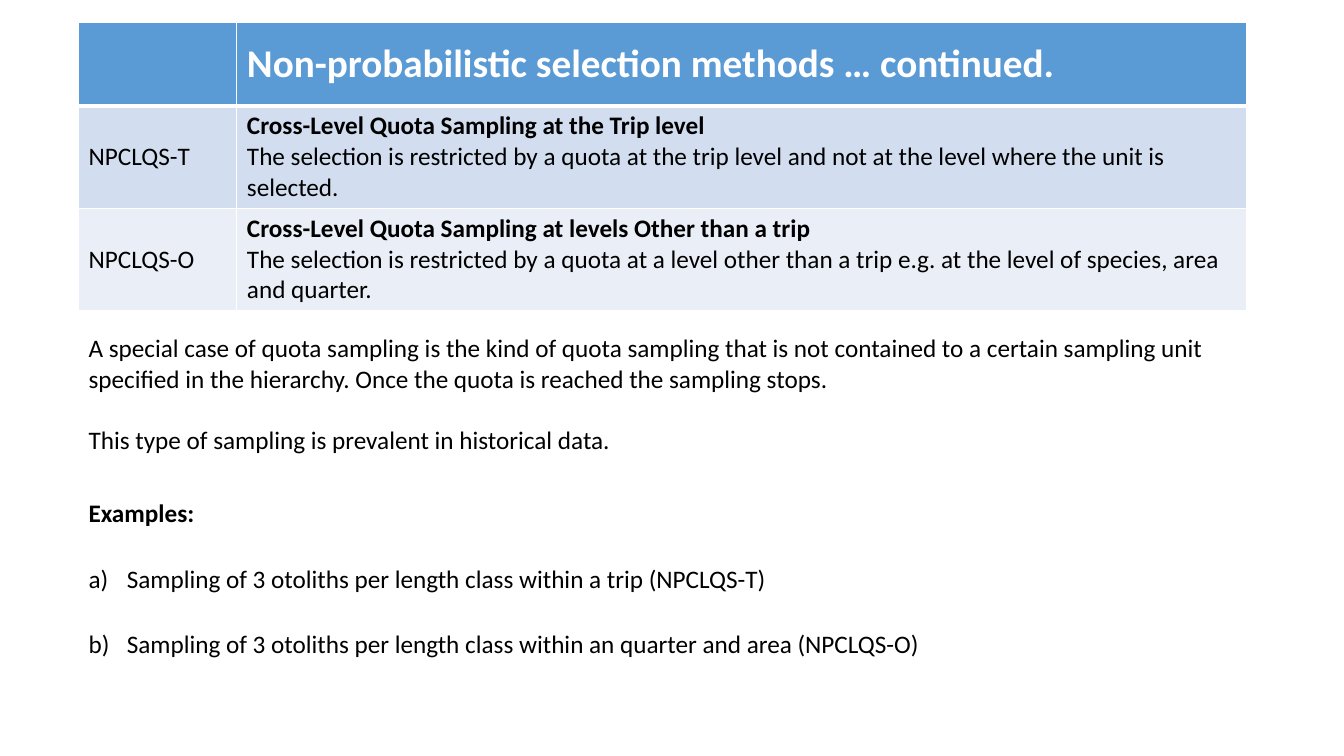
from lxml.etree import SubElement
from pptx import Presentation
from pptx.dml.color import RGBColor
from pptx.enum.text import MSO_ANCHOR
from pptx.oxml.ns import qn
from pptx.util import Inches, Pt

HUES = {"head": "5B9BD5", "odd": "D2DEEF", "even": "EAEFF7",
        "white": "FFFFFF", "black": "000000"}
LEFT, WIDE = 0.78, 11.58
TITLE = "Non-probabilistic selection methods … continued."
METHODS = [
    ("NPCLQS-T", "Cross-Level Quota Sampling at the Trip level",
     "The selection is restricted by a quota at the trip level and not at "
     "the level where the unit is selected."),
    ("NPCLQS-O", "Cross-Level Quota Sampling at levels Other than a trip",
     "The selection is restricted by a quota at a level other than a trip "
     "e.g. at the level of species, area and quarter."),
]
NOTES = [
    "A special case of quota sampling is the kind of quota sampling that is "
    "not contained to a certain sampling unit specified in the hierarchy. "
    "Once the quota is reached the sampling stops.",
    "This type of sampling is prevalent in historical data.",
]
CASES = [
    "Sampling of 3 otoliths per length class within a trip (NPCLQS-T)",
    "Sampling of 3 otoliths per length class within an quarter and area "
    "(NPCLQS-O)",
]


def color(name):
    return RGBColor.from_string(HUES[name])


def style(item, **form):
    for key, value in form.items():
        setattr(item, key, value)


def write(frame, lines, size=18, hue="black", **form):
    """Fill a text frame with (text, bold) lines, one paragraph each."""
    for i, (text, bold) in enumerate(lines):
        para = frame.paragraphs[0] if i == 0 else frame.add_paragraph()
        style(para, **form)
        run = para.add_run()
        run.text = text
        style(run.font, name="Calibri", size=Pt(size), bold=bold)
        run.font.color.rgb = color(hue)


def border(cell, base):
    """Draw white cell edges, with the bottom one of the given weight."""
    props = cell._tc.get_or_add_tcPr()
    edges = {"lnL": 1, "lnR": 1, "lnT": 1, "lnB": base}
    for i, (tag, width) in enumerate(edges.items()):
        line = props.makeelement(qn("a:" + tag), {"w": str(Pt(width))})
        fill = SubElement(line, qn("a:solidFill"))
        SubElement(fill, qn("a:srgbClr"), val=HUES["white"])
        props.insert(i, line)


def paint(cell, hue, base=1):
    cell.vertical_anchor = MSO_ANCHOR.MIDDLE
    cell.fill.solid()
    cell.fill.fore_color.rgb = color(hue)
    border(cell, base)


def add_grid(slide):
    rows, cols = [0.83, 1.0, 1.0], [1.57, 10.01]
    grid = slide.shapes.add_table(
        len(rows), len(cols), Inches(LEFT), Inches(0.22),
        Inches(WIDE), Inches(sum(rows))).table
    for row, high in zip(grid.rows, rows):
        row.height = Inches(high)
    for col, wide in zip(grid.columns, cols):
        col.width = Inches(wide)

    # Header row
    for cell in grid.rows[0].cells:
        paint(cell, "head", 3)
    write(grid.cell(0, 1).text_frame, [(TITLE, True)], 28, "white")

    # One row per method
    for i, (code, name, text) in enumerate(METHODS, 1):
        for cell in grid.rows[i].cells:
            paint(cell, "odd" if i % 2 else "even")
        write(grid.cell(i, 0).text_frame, [(code, False)])
        write(grid.cell(i, 1).text_frame, [(name, True), (text, False)])


def add_text(slide, top, wide, high, lines, **form):
    box = slide.shapes.add_textbox(
        Inches(LEFT), Inches(top), Inches(wide), Inches(high))
    box.text_frame.word_wrap = True
    write(box.text_frame, lines, **form)
    return box.text_frame


def letter(para):
    """Number a paragraph a), b), ... with a hanging indent."""
    props = para._p.get_or_add_pPr()
    hang = Inches(0.38)
    props.set("marL", str(hang))
    props.set("indent", str(-hang))
    SubElement(props, qn("a:buFont"), typeface="+mj-lt")
    SubElement(props, qn("a:buAutoNum"), type="alphaLcParenR")


def main():
    deck = Presentation()
    style(deck, slide_width=Inches(13.33), slide_height=Inches(7.5))
    slide = deck.slides.add_slide(deck.slide_layouts[6])

    # Methods table
    add_grid(slide)

    # Explanation, with one line of space between the paragraphs
    notes = add_text(slide, 3.25, WIDE, 1.31, [(t, False) for t in NOTES])
    notes.paragraphs[1].space_before = Pt(22)

    # Lettered examples
    lines = [("Examples:", True)] + [(t, False) for t in CASES]
    cases = add_text(slide, 4.86, 9.16, 1.75, lines, line_spacing=1.07,
                     space_before=Pt(12), space_after=Pt(12))
    for para in cases.paragraphs[1:]:
        letter(para)

    deck.save("out.pptx")


if __name__ == "__main__":
    main()
